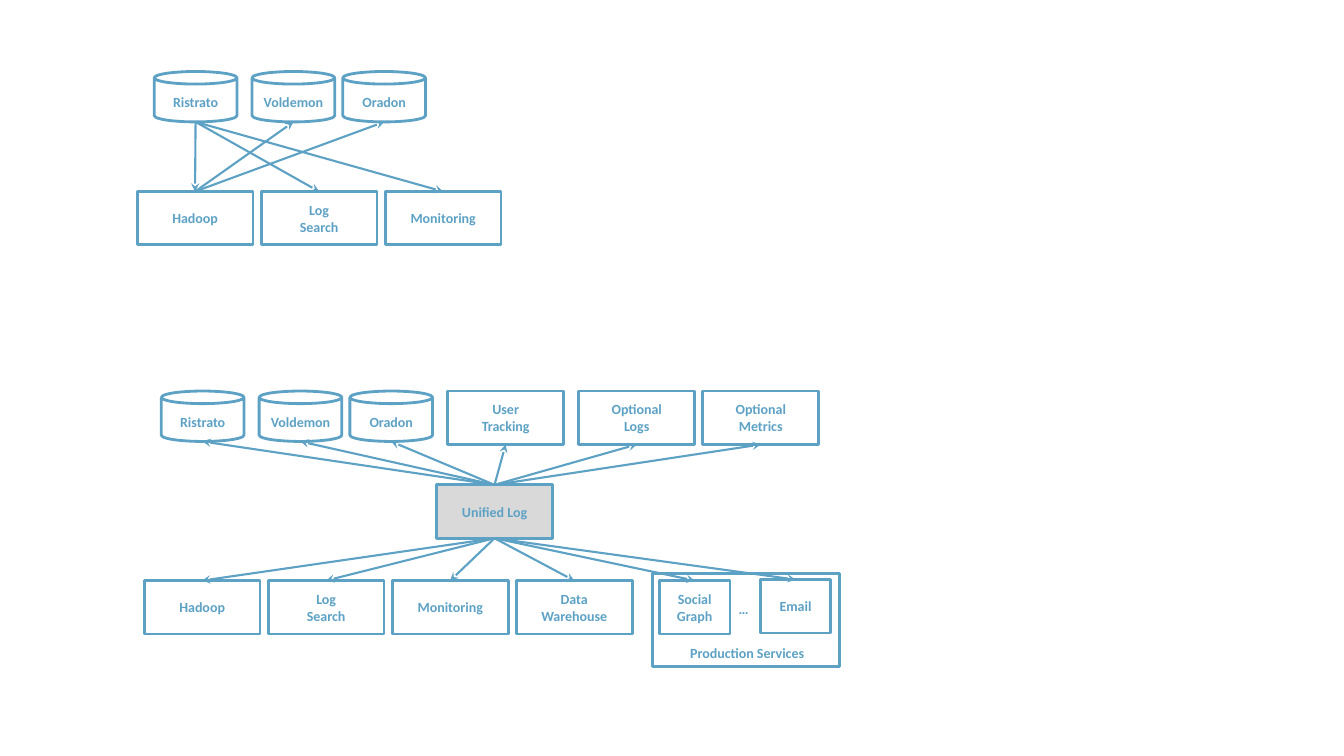
from dataclasses import dataclass

from lxml import etree
from pptx import Presentation
from pptx import util as u
from pptx.dml.color import RGBColor
from pptx.enum import shapes, text
from pptx.oxml import ns

COLORS = {"blue": "5DA2C5", "gray": "D9D9D9"}
FONT = "Calibri"
BOX_W, BOX_H = 1.15, 0.53
CAN_W, CAN_H = 0.82, 0.5
SERVICE_W = 0.7
BOX_PITCH = 1.23
TOP, BOTTOM = 0, 2


@dataclass
class Node:
    label: str
    x: float
    y: float
    w: float = BOX_W
    h: float = BOX_H
    can: bool = False
    fill: str = ""
    shape: object = None

    def anchor(self, side: int) -> tuple[float, float]:
        return self.x + self.w / 2, self.y + (self.h if side == BOTTOM else 0)


def color(name: str) -> RGBColor:
    return RGBColor.from_string(COLORS[name])


def write_text(tf, content: str, size: float = 10, bold: bool = True,
               ink: str = "blue", top: float = 0) -> None:
    tf.word_wrap = False
    tf.margin_left = tf.margin_right = tf.margin_bottom = 0
    tf.margin_top = u.Inches(top)
    tf.vertical_anchor = text.MSO_ANCHOR.MIDDLE
    for i, line in enumerate(content.split("\n")):
        p = tf.paragraphs[0] if i == 0 else tf.add_paragraph()
        p.alignment = text.PP_ALIGN.CENTER
        r = p.add_run()
        r.text = line
        r.font.name, r.font.size, r.font.bold = FONT, u.Pt(size), bold
        r.font.color.rgb = color(ink)


def draw_node(s, node: Node) -> None:
    kind = shapes.MSO_SHAPE.CAN if node.can else shapes.MSO_SHAPE.RECTANGLE
    sp = s.shapes.add_shape(kind, *map(u.Inches, (node.x, node.y, node.w, node.h)))
    sp.shadow.inherit = False
    if node.fill:
        sp.fill.solid()
        sp.fill.fore_color.rgb = color(node.fill)
    else:
        sp.fill.background()
    sp.line.color.rgb = color("blue")
    sp.line.width = u.Pt(2)
    if node.label:
        write_text(sp.text_frame, node.label, top=0.05 if node.can else 0)
    node.shape = sp


def draw_label(s, content: str, x: float, y: float, w: float, h: float) -> None:
    sp = s.shapes.add_textbox(*map(u.Inches, (x, y, w, h)))
    write_text(sp.text_frame, content)


def draw_arrow(s, start: Node, start_side: int, end: Node, end_side: int) -> None:
    points = start.anchor(start_side) + end.anchor(end_side)
    cxn = s.shapes.add_connector(shapes.MSO_CONNECTOR.STRAIGHT, *map(u.Inches, points))
    if not start.can:
        cxn.begin_connect(start.shape, start_side)
    if not end.can:
        cxn.end_connect(end.shape, end_side)
    cxn.line.color.rgb = color("blue")
    cxn.line.width = u.Pt(1.5)
    etree.SubElement(cxn.line._get_or_add_ln(), ns.qn("a:tailEnd"), type="stealth")
    etree.SubElement(cxn._element.spPr, ns.qn("a:effectLst"))


def stores(left: float, top: float) -> list[Node]:
    offsets = {"Ristrato": 0, "Voldemon": 0.97, "Oradon": 1.87}
    return [Node(label, left + dx, top, CAN_W, CAN_H, can=True)
            for label, dx in offsets.items()]


def consumers(left: float, top: float, *extra: str) -> list[Node]:
    labels = ("Hadoop", "Log\nSearch", "Monitoring", *extra)
    return [Node(label, left + i * BOX_PITCH, top) for i, label in enumerate(labels)]


def draw_direct_pipelines(s) -> None:
    sources = stores(1.53, 0.71)
    targets = consumers(1.36, 1.9)
    for node in sources + targets:
        draw_node(s, node)
    for target in targets:
        draw_arrow(s, sources[0], BOTTOM, target, TOP)
    for source in sources[1:]:
        draw_arrow(s, targets[0], TOP, source, BOTTOM)


def draw_unified_log(s) -> None:
    sources = stores(1.6, 3.88) + [
        Node("User\nTracking", 4.44, 3.88),
        Node("Optional\nLogs", 5.74, 3.88),
        Node("Optional\nMetrics", 6.97, 3.88),
    ]
    targets = consumers(1.43, 5.76, "Data\nWarehouse") + [
        Node("Social\nGraph", 6.54, 5.76, SERVICE_W),
        Node("Email", 7.54, 5.75, SERVICE_W),
    ]
    production = Node("", 6.47, 5.69, 1.86, 0.92)
    log = Node("Unified Log", 4.33, 4.81, fill="gray")
    for node in [*sources, production, *targets, log]:
        draw_node(s, node)
    draw_label(s, "Production Services", 6.58, 6.34, 1.66, 0.27)
    draw_label(s, "…", 7.25, 5.91, 0.25, 0.27)
    for source in sources:
        draw_arrow(s, log, TOP, source, BOTTOM)
    for target in targets:
        draw_arrow(s, log, BOTTOM, target, TOP)


def main() -> None:
    prs = Presentation()
    prs.slide_width, prs.slide_height = u.Inches(13.33), u.Inches(7.5)
    s = prs.slides.add_slide(prs.slide_layouts[6])
    draw_direct_pipelines(s)
    draw_unified_log(s)
    prs.save("out.pptx")


if __name__ == "__main__":
    main()
